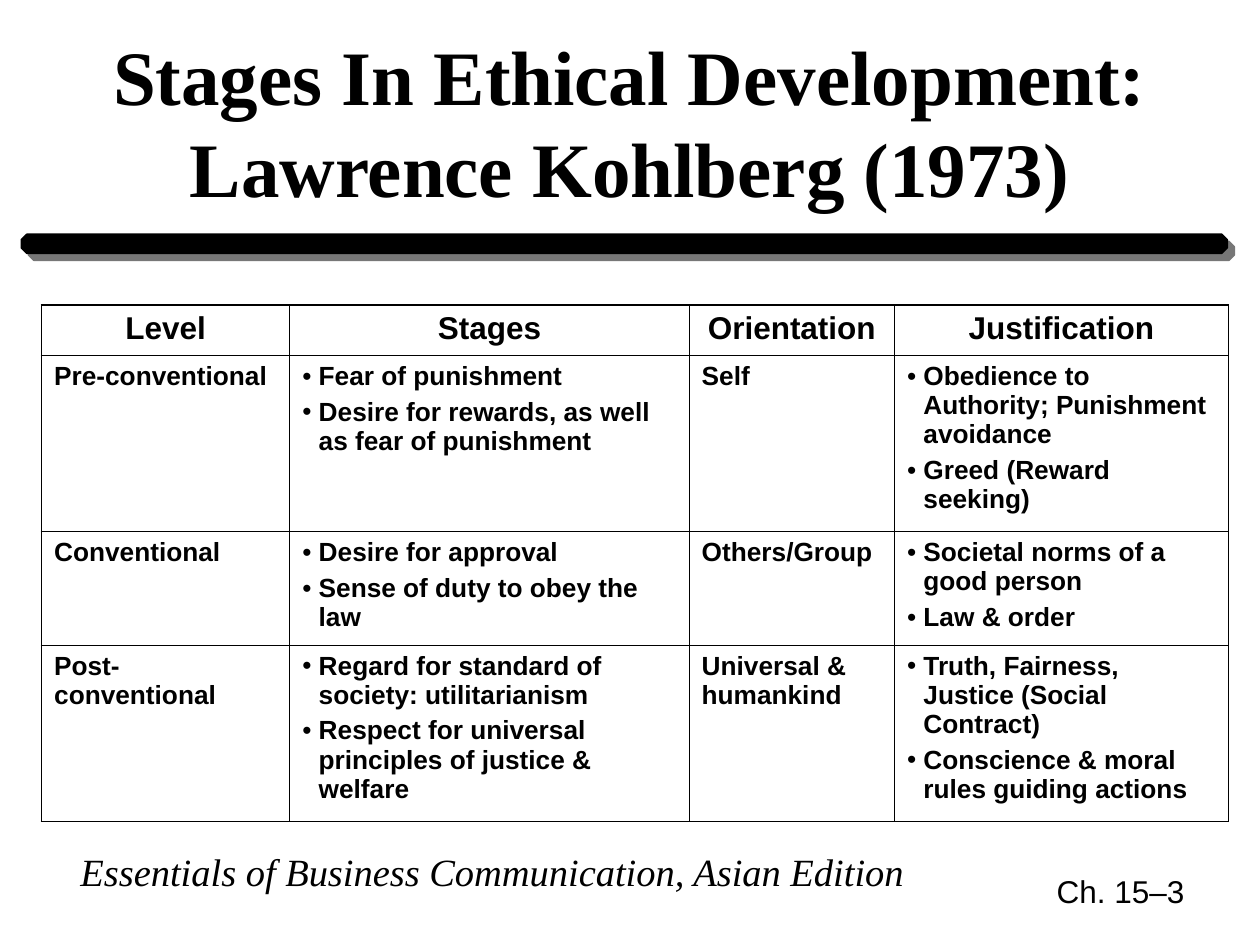
from lxml import etree
from pptx import Presentation
from pptx.dml.color import RGBColor
from pptx.enum import shapes, text
from pptx.oxml import ns
from pptx.util import Inches, Pt

BLACK = RGBColor(0x00, 0x00, 0x00)
GRAY = RGBColor(0x77, 0x77, 0x77)
SERIF, SANS = "Times New Roman", "Arial"

HEADINGS = ["Level", "Stages", "Orientation", "Justification"]
LEVELS = [
    ["Pre-conventional",
     ["Fear of punishment", "Desire for rewards, as well as fear of punishment"],
     "Self",
     ["Obedience to Authority; Punishment avoidance", "Greed (Reward seeking)"]],
    ["Conventional",
     ["Desire for approval", "Sense of duty to obey the law"],
     "Others/Group",
     ["Societal norms of a good person", "Law & order"]],
    ["Post-conventional",
     ["Regard for standard of society: utilitarianism",
      "Respect for universal principles of justice & welfare"],
     "Universal & humankind",
     ["Truth, Fairness, Justice (Social Contract)",
      "Conscience & moral rules guiding actions"]],
]
COLUMN_WIDTHS = [1.97, 3.17, 1.63, 2.65]
ROW_HEIGHTS = [0.4, 1.4, 0.9, 1.4]
THIN, THICK = 0.45, 1.08


def add_child(parent, tag, **attributes):
    child = etree.SubElement(parent, ns.qn(tag))
    for name, value in attributes.items():
        child.set(name, str(value))
    return child


def style(para, font, size, bold=False, italic=False):
    for span in para.runs:
        span.font.name, span.font.size = font, Pt(size)
        span.font.bold, span.font.italic = bold, italic
        span.font.color.rgb = BLACK


def add_title(page, words):
    title = page.shapes.title
    title.left, title.top = Inches(0.25), Inches(0.08)
    title.width, title.height = Inches(9.5), Inches(1.66)
    frame = title.text_frame
    frame.text = words
    frame.auto_size = text.MSO_AUTO_SIZE.NONE
    frame.vertical_anchor = text.MSO_ANCHOR.BOTTOM
    frame.paragraphs[0].alignment = text.PP_ALIGN.CENTER
    style(frame.paragraphs[0], SERIF, 44, bold=True)


def add_label(page, words, place, font, size, align, anchor, italic=False):
    box = page.shapes.add_textbox(*map(Inches, place))
    frame = box.text_frame
    frame.word_wrap = False
    frame.vertical_anchor = anchor
    frame.text = words
    frame.paragraphs[0].alignment = align
    style(frame.paragraphs[0], font, size, italic=italic)


def add_divider(page):
    bar = page.shapes.add_shape(shapes.MSO_SHAPE.OCTAGON, Inches(0.17),
                                Inches(1.86), Inches(9.57), Inches(0.15))
    bar.adjustments[0] = 0.29
    bar.fill.solid()
    bar.fill.fore_color.rgb = BLACK
    bar.line.color.rgb = BLACK
    bar.line.width = Pt(1)
    # Hard gray shadow to the lower right
    bar.shadow.inherit = False
    effects = bar._element.spPr.find(ns.qn("a:effectLst"))
    shadow = add_child(effects, "a:outerShdw", blurRad=0, dist=Pt(5.7),
                       dir=45 * 60000, algn="ctr", rotWithShape=0)
    add_child(shadow, "a:srgbClr", val=GRAY)


def set_borders(cell, row, column):
    last_row, last_column = len(ROW_HEIGHTS) - 1, len(COLUMN_WIDTHS) - 1
    outer = {"a:lnL": column == 0, "a:lnR": column == last_column,
             "a:lnT": row == 0, "a:lnB": row == last_row}
    properties = cell._tc.get_or_add_tcPr()
    for tag, is_outer in outer.items():
        line = add_child(properties, tag, w=Pt(THICK if is_outer else THIN))
        add_child(add_child(line, "a:solidFill"), "a:srgbClr", val=BLACK)


def add_bullet(para):
    properties = para._p.get_or_add_pPr()
    properties.set("marL", str(Inches(0.13)))
    properties.set("indent", str(-Inches(0.13)))
    add_child(add_child(properties, "a:buClr"), "a:srgbClr", val=BLACK)
    add_child(properties, "a:buFont", typeface=SANS)
    add_child(properties, "a:buChar", char="•")


def fill_cell(cell, content, is_heading):
    bulleted = isinstance(content, list)
    frame = cell.text_frame
    frame.text = "\n".join(content) if bulleted else content
    for index, para in enumerate(frame.paragraphs):
        if bulleted:
            add_bullet(para)
        if index:
            para.space_before = Pt(3.7)
        para.alignment = text.PP_ALIGN.CENTER if is_heading else text.PP_ALIGN.LEFT
        style(para, SANS, 18 if is_heading else 15, bold=True)


def add_stage_table(page):
    frame = page.shapes.add_table(
        len(ROW_HEIGHTS), len(COLUMN_WIDTHS), Inches(0.33), Inches(2.42),
        Inches(sum(COLUMN_WIDTHS)), Inches(sum(ROW_HEIGHTS)))
    table = frame.table
    table.first_row = table.horz_banding = False
    for column, width in zip(table.columns, COLUMN_WIDTHS):
        column.width = Inches(width)
    for row, height in zip(table.rows, ROW_HEIGHTS):
        row.height = Inches(height)
    for r, contents in enumerate([HEADINGS] + LEVELS):
        for c, content in enumerate(contents):
            cell = table.cell(r, c)
            set_borders(cell, r, c)
            cell.fill.background()
            fill_cell(cell, content, is_heading=r == 0)


def main():
    deck = Presentation()
    deck.slide_width, deck.slide_height = Inches(10), Inches(7.5)
    page = deck.slides.add_slide(deck.slide_layouts[5])

    # Heading and divider
    add_title(page, "Stages In Ethical Development: Lawrence Kohlberg (1973)")
    add_divider(page)

    # Levels of development
    add_stage_table(page)

    # Footer
    add_label(page, "Essentials of Business Communication, Asian Edition",
              (0.54, 6.68, 6.74, 0.47), SERIF, 22, text.PP_ALIGN.LEFT,
              text.MSO_ANCHOR.TOP, italic=True)
    add_label(page, "Ch. 15–3", (7.17, 6.81, 2.33, 0.52), SANS, 18,
              text.PP_ALIGN.RIGHT, text.MSO_ANCHOR.MIDDLE)

    deck.save("out.pptx")


if __name__ == "__main__":
    main()
